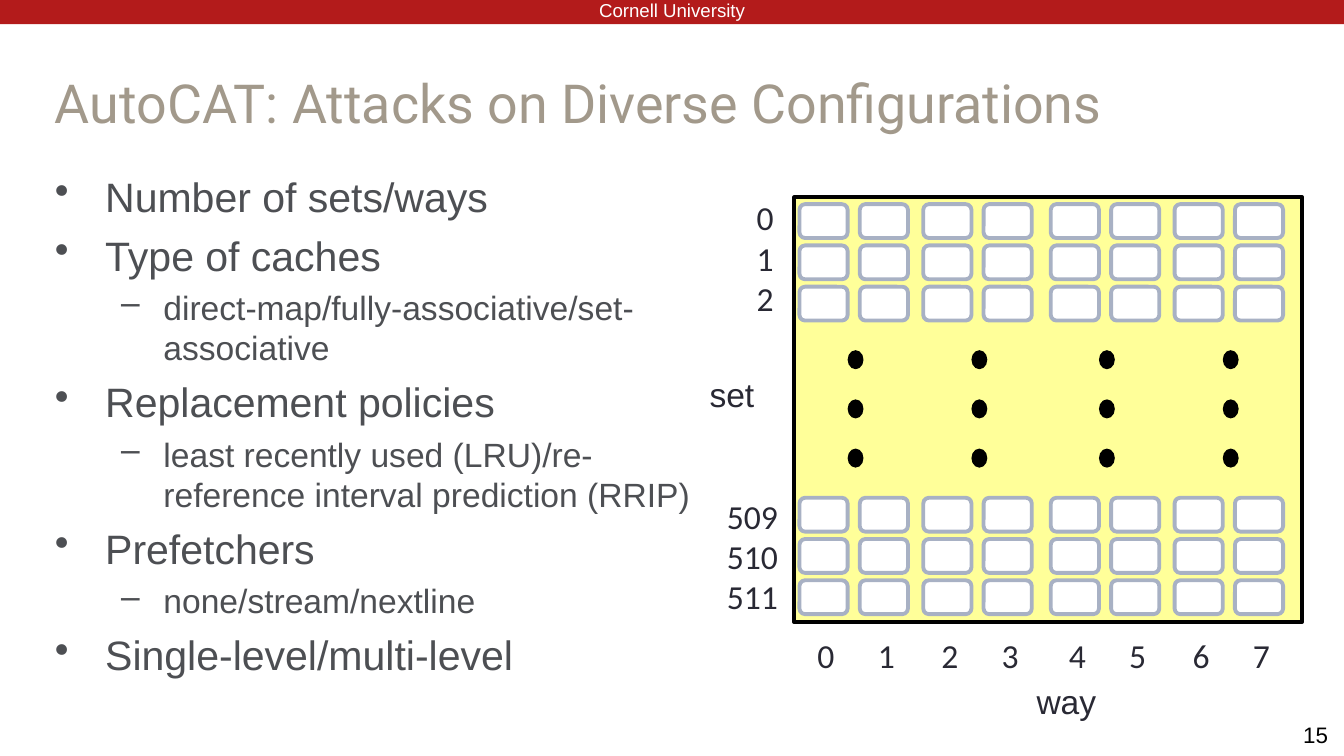
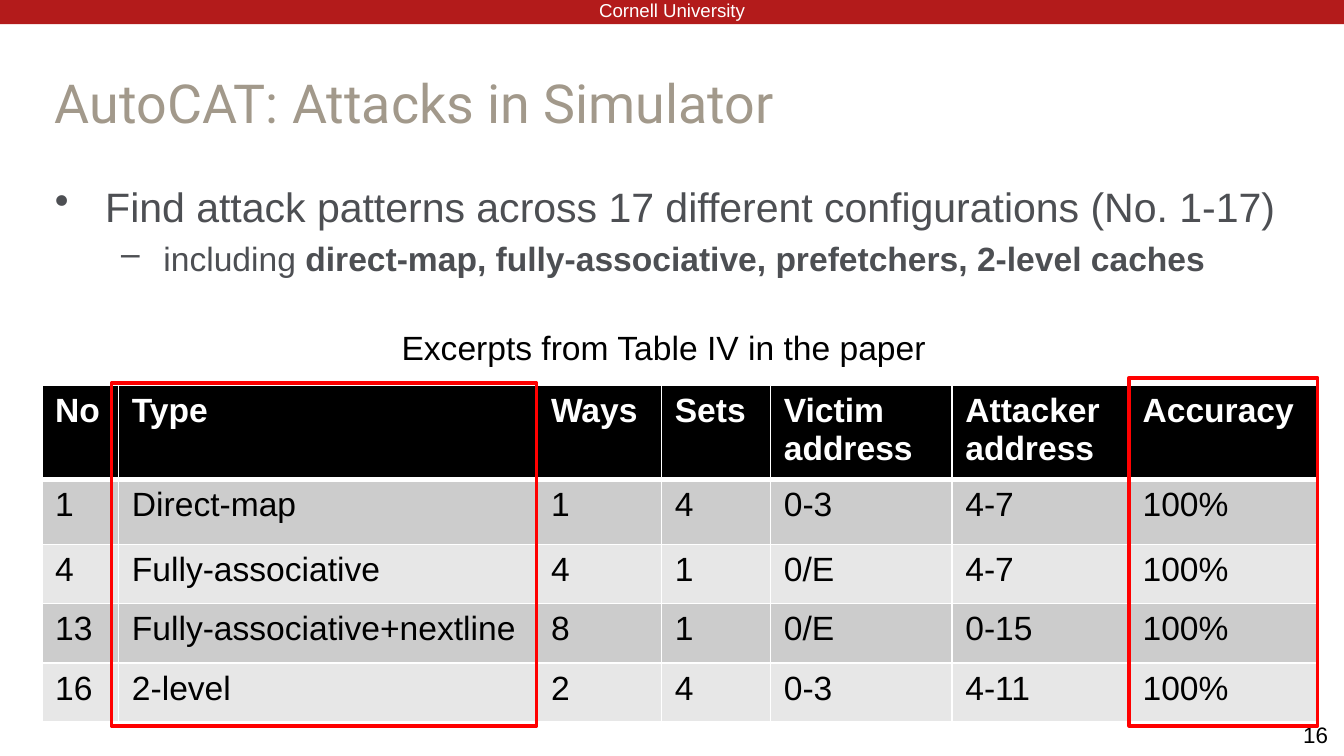
from itertools import product

from lxml import etree
from pptx import Presentation
from pptx.dml.color import RGBColor
from pptx.enum import shapes, text
from pptx.oxml.ns import qn
from pptx.util import Cm, Pt

RED, TAUPE, GREY, INK = "B31B1B", "A2998B", "4D4F53", "292934"
BLACK, WHITE, YELLOW, CELL_EDGE, MARK = "000000", "FFFFFF", "FFFF99", "A8B1C4", "FF0000"
BANDS = ("E7E7E7", "CCCCCC")
LABEL_INSET = (0.18, 0.1)
# Per outline level: bullet, left margin, hanging indent (cm), size, space before (pt)
LEVELS = (("•", 0.95, 0.95, 22, 5), ("–", 2.05, 0.8, 18, 4))


def color(hex_string):
    return RGBColor.from_string(hex_string)


class Style:
    """Shared look of the deck and the slide being filled; lengths in cm."""

    def __init__(self):
        self.deck = Presentation()
        self.deck.slide_width, self.deck.slide_height = Cm(25.4), Cm(14.29)
        self.page = None

    def new_page(self, title, number):
        self.page = self.deck.slides.add_slide(self.deck.slide_layouts[6])
        self.shape("RECTANGLE", 0, 0, 25.4, 0.46, fill=RED)
        header = self.label("Cornell University", 10.06, -0.15, 5.28, 0.69, 10, WHITE)
        header.text_frame.paragraphs[0].alignment = text.PP_ALIGN.CENTER
        self.label(str(number), 24.38, 13.51, 1.02, 0.76, 12)
        heading = self.label(title, 0.79, 1.3, 22.86, 1.24, 28.8, TAUPE, "Roboto")
        heading.text_frame.vertical_anchor = text.MSO_ANCHOR.MIDDLE

    def font(self, paragraph, size, hue, name="Arial", bold=None):
        for span in paragraph.runs:
            span.font.size, span.font.name = Pt(size), name
            span.font.color.rgb = color(hue)
            if bold is not None:
                span.font.bold = bold

    def text_box(self, left, top, width, height, inset=None):
        box = self.page.shapes.add_textbox(Cm(left), Cm(top), Cm(width), Cm(height))
        frame = box.text_frame
        frame.word_wrap = True
        if inset:
            frame.margin_left = frame.margin_right = Cm(inset[0])
            frame.margin_top = frame.margin_bottom = Cm(inset[1])
        return box

    def label(self, words, left, top, width, height, size=18, hue=BLACK,
              name="Arial", inset=None):
        box = self.text_box(left, top, width, height, inset)
        box.text_frame.text = words
        for para in box.text_frame.paragraphs:
            self.font(para, size, hue, name)
        return box

    def outline(self, items, left, top, width, height):
        """Bulleted text from (level, plain words, optional bold words)."""
        frame = self.text_box(left, top, width, height).text_frame
        for index, (level, words, *strong) in enumerate(items):
            para = frame.add_paragraph() if index else frame.paragraphs[0]
            bullet, margin, hanging, size, before = LEVELS[level]
            para.level = level
            para.space_before = Pt(before if index else 0)
            properties = para._p.get_or_add_pPr()
            properties.set("marL", str(Cm(margin)))
            properties.set("indent", str(-Cm(hanging)))
            etree.SubElement(properties, qn("a:buChar")).set("char", bullet)
            para.text = words
            for part in strong:
                span = para.add_run()
                span.text, span.font.bold = part, True
            self.font(para, size, GREY)

    def shape(self, kind, left, top, width, height, fill=None, line=None, weight=2):
        shape = self.page.shapes.add_shape(
            getattr(shapes.MSO_SHAPE, kind), Cm(left), Cm(top), Cm(width), Cm(height))
        shape.shadow.inherit = False
        if fill:
            shape.fill.solid()
            shape.fill.fore_color.rgb = color(fill)
        else:
            shape.fill.background()
        if line:
            shape.line.color.rgb = color(line)
            shape.line.width = Pt(weight)
        else:
            shape.line.fill.background()

    def borders(self, cell, **weights):
        properties = cell._tc.get_or_add_tcPr()
        for side, weight in weights.items():
            edge = etree.SubElement(properties, qn(f"a:ln{side}"), w=str(Pt(weight)))
            paint = etree.SubElement(edge, qn("a:solidFill"))
            etree.SubElement(paint, qn("a:srgbClr")).set("val", WHITE)

    def table(self, rows, left, top, widths, heights):
        table = self.page.shapes.add_table(
            len(rows), len(widths), Cm(left), Cm(top),
            Cm(sum(widths)), Cm(sum(heights))).table
        for column, width in zip(table.columns, widths):
            column.width = Cm(width)
        for r, (values, height) in enumerate(zip(rows, heights)):
            table.rows[r].height = Cm(height)
            head = r == 0
            for c, value in enumerate(values):
                cell = table.cell(r, c)
                self.borders(cell, L=1, R=1, T=3 if r == 1 else 1, B=3 if head else 1)
                cell.fill.solid()
                cell.fill.fore_color.rgb = color(BLACK if head else BANDS[r % 2])
                cell.text_frame.text = value
                self.font(cell.text_frame.paragraphs[0], 18,
                          WHITE if head else BLACK, bold=head)


def configurations(style):
    style.new_page("AutoCAT: Attacks on Diverse Configurations", 15)
    style.outline([
        (0, "Number of sets/ways"),
        (0, "Type of caches"),
        (1, "direct-map/fully-associative/set-associative"),
        (0, "Replacement policies"),
        (1, "least recently used (LRU)/re-reference interval prediction (RRIP)"),
        (0, "Prefetchers"),
        (1, "none/stream/nextline"),
        (0, "Single-level/multi-level"),
    ], 0.79, 3.12, 13.16, 18.06)

    # Cache: two halves, each of two pairs of ways
    style.shape("RECTANGLE", 15.01, 3.73, 9.6, 8.03, YELLOW, BLACK, 2.08)
    pairs = [15.11 + half * 4.75 + pair * 2.34 for half, pair in product(range(2), repeat=2)]
    ways = [left + offset for left in pairs for offset in (0, 1.14)]
    sets = [top + row * 0.78 for top in (3.86, 9.41) for row in range(3)]
    for left, top in product(ways, sets):
        style.shape("ROUNDED_RECTANGLE", left, top, 0.91, 0.64, WHITE, CELL_EDGE, 2.08)
    for left, row in product(pairs, range(3)):
        style.shape("OVAL", left + 0.91, 6.62 + row * 0.93, 0.3, 0.36, BLACK)

    # Axis names and indices
    for words, left, top in (("set", 13.23, 6.96), ("way", 19.41, 12.78)):
        style.label(words, left, top, 2.72, 0.97, hue=INK, inset=LABEL_INSET)
    for words, left, top, width in (("0\n1\n2", 14.12, 3.63, 0.91),
                                    ("509\n510\n511", 13.56, 9.27, 3.12)):
        style.label(words, left, top, width, 2.59, 18, INK, "Calibri", LABEL_INSET)
    for way, left in enumerate(ways):
        style.label(str(way), left + 0.16, 11.9, 0.79, 0.97, 18, INK, "Calibri", LABEL_INSET)


def simulator(style):
    style.new_page("AutoCAT: Attacks in Simulator", 16)
    style.table([
        ("No", "Type", "Ways", "Sets", "Victim address", "Attacker address", "Accuracy"),
        ("1", "Direct-map", "1", "4", "0-3", "4-7", "100%"),
        ("4", "Fully-associative", "4", "1", "0/E", "4-7", "100%"),
        ("13", "Fully-associative+nextline", "8", "1", "0/E", "0-15", "100%"),
        ("16", "2-level", "2", "4", "0-3", "4-11", "100%"),
    ], 0.79, 7.29, (1.45, 7.92, 2.34, 2.06, 3.43, 3.35, 3.58), (1.75, 1.22, 1.12, 1.12, 1.12))
    style.outline([
        (0, "Find attack patterns across 17 different configurations (No. 1-17)"),
        (1, "including ", "direct-map, fully-associative, prefetchers, 2-level caches"),
    ], 0.79, 3.3, 24.1, 8.33)
    style.label("Excerpts from Table IV in the paper", 7.34, 6.05, 13.03, 1.02)

    # Highlighted columns
    style.shape("RECTANGLE", 2.11, 7.24, 8.03, 6.48, line=MARK)
    style.shape("RECTANGLE", 21.34, 7.14, 3.56, 6.58, line=MARK)


def main():
    style = Style()
    configurations(style)
    simulator(style)
    style.deck.save("out.pptx")


if __name__ == "__main__":
    main()
